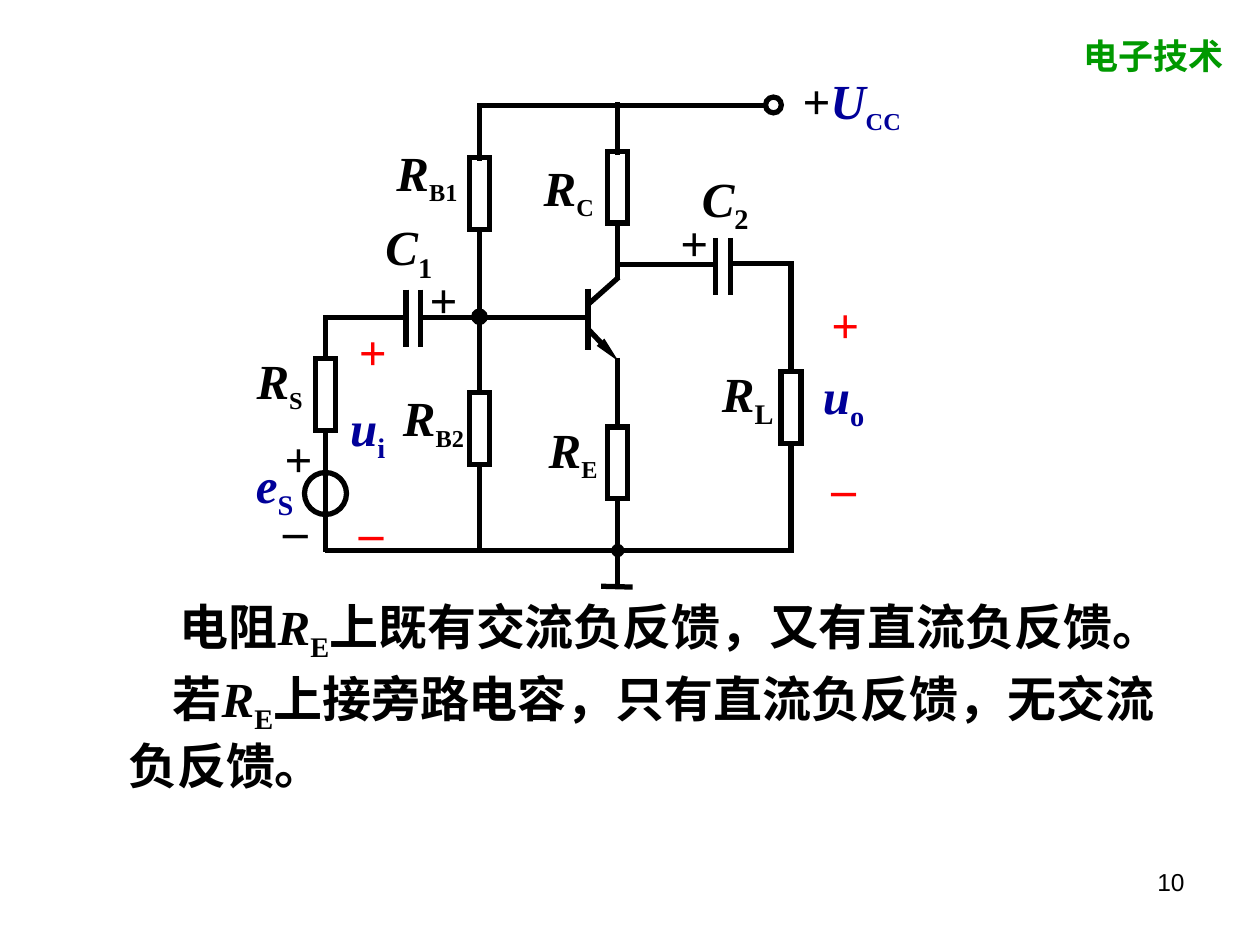
from pptx import Presentation
from pptx import util as u
from pptx.dml import color
from pptx.enum import shapes, text
from pptx.oxml import ns
from lxml import etree

Pt = u.Pt
BLACK, BLUE, RED, GREEN = "000000", "000099", "FF0000", "009900"
RES_W, RES_H = 11.5, 41
SIGN = (32, 41)


def rgb(value):
    return color.RGBColor.from_string(value)


def add_run(p, words, size=28, fill=BLACK, italic=False, sub=False, bold=True,
            font="Times New Roman"):
    r = p.add_run()
    r.text = words
    f = r.font
    f.size, f.bold, f.italic, f.name = Pt(size), bold, italic, font
    f.color.rgb = rgb(fill)
    if sub:
        r._r.get_or_add_rPr().set("baseline", "-25000")


def add_text(s, box, runs, align=text.PP_ALIGN.LEFT, wrap=True, indent=0,
             anchor=text.MSO_ANCHOR.TOP):
    tf = s.shapes.add_textbox(*map(Pt, box)).text_frame
    tf.word_wrap, tf.vertical_anchor = wrap, anchor
    p = tf.paragraphs[0]
    p.alignment = align
    if indent:
        p._p.get_or_add_pPr().set("indent", str(Pt(indent)))
    for words, style in runs:
        add_run(p, words, **style)


def add_label(s, cx, cy, runs, size):
    w, h = size
    add_text(s, (cx - w / 2, cy - h / 2, w, h), runs, text.PP_ALIGN.CENTER,
             False, anchor=text.MSO_ANCHOR.MIDDLE)


def add_wire(s, x1, y1, x2, y2, arrow=False):
    c = s.shapes.add_connector(shapes.MSO_CONNECTOR.STRAIGHT,
                               *map(Pt, (x1, y1, x2, y2)))
    c.line.color.rgb, c.line.width = rgb(BLACK), Pt(3)
    if arrow:
        etree.SubElement(c.line._get_or_add_ln(), ns.qn("a:tailEnd"),
                         type="triangle", w="sm", len="lg")
    etree.SubElement(c._element.spPr, ns.qn("a:effectLst"))


def add_part(s, kind, cx, cy, w, h, filled=False):
    sp = s.shapes.add_shape(kind, *map(Pt, (cx - w / 2, cy - h / 2, w, h)))
    sp.shadow.inherit = False
    sp.line.color.rgb, sp.line.width = rgb(BLACK), Pt(3)
    etree.SubElement(sp.line._get_or_add_ln(), ns.qn("a:miter"), lim="800000")
    if filled:
        sp.fill.solid()
        sp.fill.fore_color.rgb = rgb(BLACK)
    else:
        sp.fill.background()


def draw_circuit(s, left, top):
    x_src, x_div, x_base, x_tr, x_load = 54, 142, 204, 221, 320
    y_top, y_out, y_in, y_gnd = 24.5, 115, 145.4, 278.6
    c1, c2 = (100, 108.5), (277, 285.5)
    rb1, rc, rb2, re, rl, rs = 54, 50.5, 188.5, 208, 176.5, 169

    wires = [
        (x_div, y_top - 1.5, x_div, rb1 + 2), (x_div, rb1 + RES_H, x_div, rb2),
        (x_div, rb2 + RES_H, x_div, y_gnd), (x_div, y_top, 304.5, y_top),
        (x_tr, y_top - 2, x_tr, rc + 2), (x_tr, rc + RES_H, x_tr, 124),
        (x_tr, 168.5, x_tr, re), (x_tr, re + RES_H, x_tr, 300),
        (x_base, 129, x_base, 164), (x_base, 138, x_tr + 0.5, 122.5),
        (c1[1], y_in, x_base, y_in), (x_src, y_in, c1[0], y_in),
        (x_tr, y_out, c2[0], y_out), (c2[1], y_out - 0.5, x_load + 1.5, y_out - 0.5),
        (x_load, y_out - 1.5, x_load, rl), (x_load, rl + RES_H, x_load, y_gnd + 1.5),
        (x_src, y_in - 1.5, x_src, rs), (x_src, rs + RES_H, x_src, y_gnd + 1),
        (x_src, y_gnd, x_load + 1.5, y_gnd), (211.5, 299, 229.5, 299.5),
    ]
    wires += [(x, 129.5, x, 162.5) for x in c1]
    wires += [(x, 100, x, 132.5) for x in c2]
    for x1, y1, x2, y2 in wires:
        add_wire(s, left + x1, top + y1, left + x2, top + y2)
    add_wire(s, left + x_base, top + 152, left + x_tr + 0.5, top + 170.5, arrow=True)

    for x, y in ((x_div, rb1), (x_tr, rc), (x_div, rb2), (x_tr, re),
                 (x_load, rl), (x_src, rs)):
        add_part(s, shapes.MSO_SHAPE.RECTANGLE, left + x, top + y + RES_H / 2,
                 RES_W, RES_H)
    for x, y, d, filled in ((310, 24, 9, False), (x_src, 246, 24, False),
                            (x_tr, y_gnd, 4.5, False), (x_div, y_in - 0.4, 6.5, True)):
        add_part(s, shapes.MSO_SHAPE.OVAL, left + x, top + y, d, d, filled)

    for name, sub, cx, cy, w, sub_size, fill in (
            ("R", "B1", 112, 63.7, 56, 24, BLACK), ("R", "C", 193, 72.4, 48, 24, BLACK),
            ("C", "1", 101.6, 107, 48, 28, BLACK), ("C", "2", 282.4, 79.2, 48, 28, BLACK),
            ("R", "B2", 115.7, 204, 56, 24, BLACK), ("R", "E", 195.5, 222, 48, 24, BLACK),
            ("R", "L", 295.3, 190.8, 50, 28, BLACK), ("R", "S", 27.8, 182.5, 48, 24, BLACK),
            ("u", "i", 78.2, 210, 44, 28, BLUE), ("u", "o", 350, 192, 48, 28, BLUE),
            ("e", "S", 25, 242.6, 50, 28, BLUE)):
        runs = [(name, dict(fill=fill, italic=True)),
                (sub, dict(size=sub_size, fill=fill, sub=True))]
        add_label(s, left + cx, top + cy, runs, (w, 45))
    add_label(s, left + 354.7, top + 22.7,
              [("+", {}), ("U", dict(fill=BLUE, italic=True)),
               ("CC", dict(size=24, fill=BLUE, sub=True))], (76, 44))

    for sign, cx, cy, fill in (
            ("+", 121.4, 135, BLACK), ("+", 264.7, 102, BLACK), ("+", 38.6, 225.7, BLACK),
            ("+", 351, 149.4, RED), ("+", 81, 164.5, RED),
            ("–", 350, 242.3, RED), ("–", 80, 267.5, RED), ("–", 36.8, 266.4, BLACK)):
        add_label(s, left + cx, top + cy, [(sign, dict(fill=fill))], SIGN)


def draw_notes(s, left, top, width):
    r_e = [("R", dict(italic=True)), ("E", dict(sub=True))]
    add_text(s, (left + 29.5, top, width, 45),
             [("电阻", {}), *r_e, ("上既有交流负反馈，又有直流负反馈。", {})])
    add_text(s, (left, top + 41, width, 79),
             [("若", {}), *r_e, ("上接旁路电容，只有直流负反馈，无交流负反馈。", {})],
             indent=25.5)


def draw_frame(s):
    add_text(s, (612, 16, 104.5, 32), [("电子技术", dict(size=20, fill=GREEN))])
    add_text(s, (516, 492, 168, 37), [("10", dict(size=14, bold=False, font="Arial"))],
             text.PP_ALIGN.RIGHT)


def main():
    prs = Presentation()
    prs.slide_width, prs.slide_height = Pt(720), Pt(540)
    s = prs.slides.add_slide(prs.slide_layouts[6])
    draw_frame(s)
    draw_circuit(s, 132, 36)
    draw_notes(s, 66.2, 337.3, 612)
    prs.save("out.pptx")


if __name__ == "__main__":
    main()
